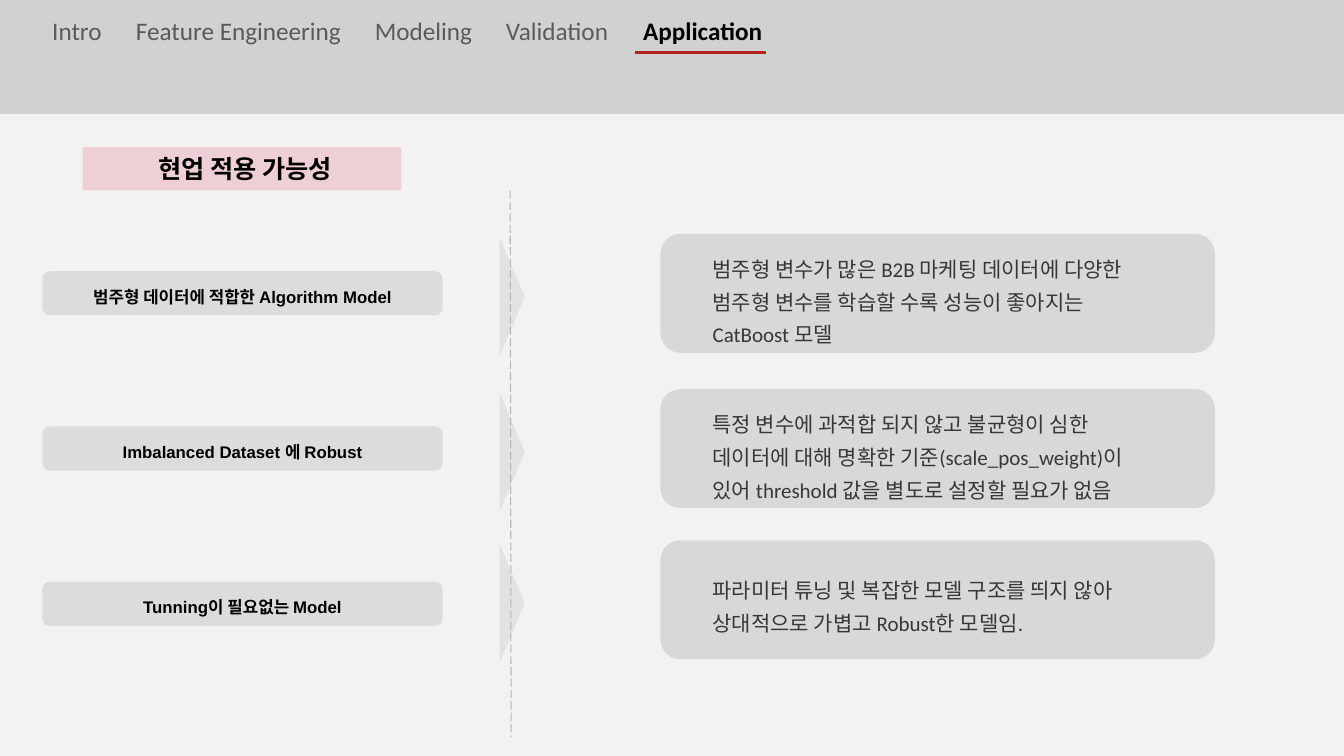
from typing import NamedTuple

from lxml.etree import SubElement
from pptx import Presentation
from pptx.dml.color import RGBColor
from pptx.enum.dml import MSO_LINE as Dash
from pptx.enum.shapes import MSO_CONNECTOR as Link, MSO_SHAPE as Form
from pptx.enum.text import MSO_ANCHOR as Anchor, MSO_AUTO_SIZE as Fit, PP_ALIGN as Align
from pptx.oxml.ns import qn
from pptx.util import Inches, Pt

PAPER = RGBColor(0xF2, 0xF2, 0xF2)
BAND = RGBColor(0xD1, 0xD1, 0xD1)
PANEL = RGBColor(0xD8, 0xD8, 0xD8)
LABEL = RGBColor(0xD3, 0xD3, 0xD4)
ARROW = RGBColor(0xE2, 0xE2, 0xE2)
PINK = RGBColor(0xEE, 0xCF, 0xD6)
RED = RGBColor(0xB2, 0x22, 0x22)
RULE = RGBColor(0xB6, 0xB6, 0xB6)
BLACK = RGBColor(0, 0, 0)
INK = RGBColor(0x37, 0x37, 0x37)
GREY = RGBColor(0x5B, 0x5B, 0x5B)
DIM = RGBColor(0x59, 0x59, 0x59)

WIDE, HIGH = Inches(13.33), Inches(7.5)


class Box(NamedTuple):
    """An area in percent of the slide's width and height."""
    x: float
    y: float
    w: float
    h: float


class Point(NamedTuple):
    """A row that pairs a short label with its explanation."""
    label: str
    text: str
    top: float
    drop: float
    tall: float


class Step(NamedTuple):
    """An entry of the navigation bar and its tab stop in inches."""
    name: str
    stop: float
    color: RGBColor
    bold: bool = False


POINTS = [
    Point("범주형 데이터에 적합한 Algorithm Model",
          "범주형 변수가 많은 B2B 마케팅 데이터에 다양한 범주형 변수를 "
          "학습할 수록 성능이 좋아지는 CatBoost 모델", 30.93, 1.33, 15.33),
    Point("Imbalanced Dataset 에 Robust",
          "특정 변수에 과적합 되지 않고 불균형이 심한 데이터에 대해 명확한 "
          "기준(scale_pos_weight)이 있어 threshold 값을 별도로 설정할 필요가 없음",
          51.47, 1.33, 15.33),
    Point("Tunning이 필요없는 Model",
          "파라미터 튜닝 및 복잡한 모델 구조를 띄지 않아 상대적으로 가볍고 "
          "Robust한 모델임.", 71.47, 3.33, 9.87),
]

STEPS = [
    Step("Intro", 0, GREY),
    Step("Feature Engineering", 0.83, DIM),
    Step("Modeling", 3.2, DIM),
    Step("Validation", 4.5, GREY),
    Step("Application", 5.86, BLACK, True),
]


def across(share: float) -> int:
    """Turn a share of the width into a length."""
    return round(WIDE * share / 100)


def down(share: float) -> int:
    """Turn a share of the height into a length."""
    return round(HIGH * share / 100)


def area(box: Box) -> tuple[int, int, int, int]:
    """Turn a box into left, top, width and height."""
    return across(box.x), down(box.y), across(box.w), down(box.h)


def style(run, font: str, size: float, color: RGBColor, bold: bool = False) -> None:
    """Format one run."""
    run.font.name, run.font.size = font, Pt(size)
    run.font.color.rgb, run.font.bold = color, bold


def block(slide, form: Form, box: Box, color: RGBColor):
    """Draw a plain filled shape."""
    shape = slide.shapes.add_shape(form, *area(box))
    shape.shadow.inherit = False
    shape.fill.solid()
    shape.fill.fore_color.rgb = color
    shape.line.fill.background()
    return shape


def line(slide, start: tuple[float, float], end: tuple[float, float],
         color: RGBColor, width: float):
    """Draw a straight line without a shadow."""
    rule = slide.shapes.add_connector(
        Link.STRAIGHT, across(start[0]), down(start[1]), across(end[0]), down(end[1]))
    rule.line.color.rgb, rule.line.width = color, Pt(width)
    SubElement(rule._element.spPr, qn("a:effectLst"))
    return rule


def title(slide, text: str) -> None:
    """Place and format the title."""
    head = slide.shapes.title
    head.left, head.top, head.width, head.height = area(Box(6.15, 19.47, 23.71, 5.73))
    head.fill.solid()
    head.fill.fore_color.rgb = PINK
    frame = head.text_frame
    frame.text = text
    frame.auto_size, frame.vertical_anchor = Fit.NONE, Anchor.MIDDLE
    frame.margin_left = Inches(0.16)
    para = frame.paragraphs[0]
    para.alignment = Align.CENTER
    style(para.runs[0], "Arial", 18, BLACK, True)


def menu(slide) -> None:
    """Draw the navigation bar with its active step."""
    block(slide, Form.RECTANGLE, Box(0, 0, 100, 15.07), BAND)
    frame = slide.shapes.add_textbox(*area(Box(3.15, 0.8, 76.37, 6.93))).text_frame
    frame.word_wrap, frame.vertical_anchor = True, Anchor.MIDDLE
    para = frame.paragraphs[0]
    para.line_spacing = 0.9
    stops = SubElement(para._p.get_or_add_pPr(), qn("a:tabLst"))
    for step in STEPS:
        run = para.add_run()
        run.text = step.name
        if step.stop:
            run.text = "\t" + step.name
            SubElement(stops, qn("a:tab"), pos=str(Inches(step.stop)), algn="l")
        style(run, "Calibri", 18, step.color, step.bold)
    line(slide, (47.26, 6.93), (57.01, 6.93), RED, 2)


def label(slide, text: str, top: float) -> None:
    """Draw a translucent label."""
    shape = block(slide, Form.ROUNDED_RECTANGLE, Box(3.15, top, 29.78, 5.87), LABEL)
    tint = shape._element.spPr.find(qn("a:solidFill"))[0]
    SubElement(tint, qn("a:alpha"), val="69000")
    frame = shape.text_frame
    frame.text = text
    frame.word_wrap, frame.vertical_anchor = True, Anchor.MIDDLE
    para = frame.paragraphs[0]
    para.alignment, para.line_spacing = Align.CENTER, 1.3
    style(para.runs[0], "Arial", 12, BLACK, True)


def row(slide, point: Point, index: int) -> None:
    """Draw a label, its arrow and its explanation."""
    label(slide, point.label, 35.87 + 20.53 * index)
    arrow = block(slide, Form.ISOSCELES_TRIANGLE,
                  Box(33.68, point.top + 6.67, 8.85, 3.33), ARROW)
    arrow.rotation = 90
    block(slide, Form.ROUNDED_RECTANGLE, Box(49.14, point.top, 41.26, 15.73), PANEL)
    spot = Box(52.29, point.top + point.drop, 35.11, point.tall)
    frame = slide.shapes.add_textbox(*area(spot)).text_frame
    frame.text = point.text
    frame.word_wrap = True
    para = frame.paragraphs[0]
    para.line_spacing = 1.3
    style(para.runs[0], "Calibri", 15, INK)


def main() -> None:
    """Build and save the slide."""
    deck = Presentation()
    deck.slide_width, deck.slide_height = WIDE, HIGH
    slide = deck.slides.add_slide(deck.slide_layouts[5])
    slide.background.fill.solid()
    slide.background.fill.fore_color.rgb = PAPER
    title(slide, "현업 적용 가능성")
    menu(slide)
    for index, point in enumerate(POINTS):
        row(slide, point, index)
    rule = line(slide, (37.96, 25.2), (38.03, 97.47), RULE, 0.75)
    rule.line.dash_style = Dash.LONG_DASH
    deck.save("out.pptx")


if __name__ == "__main__":
    main()
